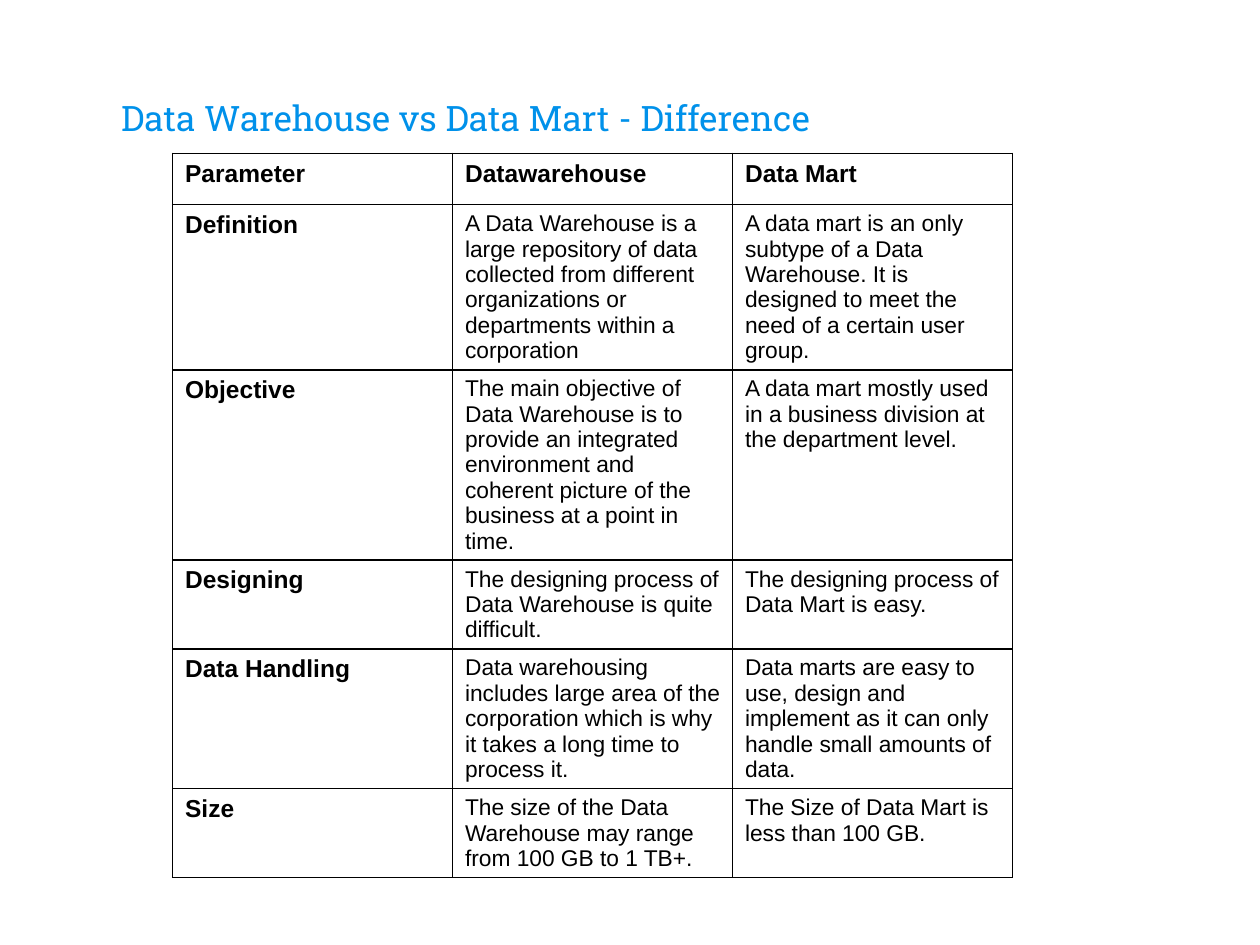
from typing import NamedTuple

from lxml import etree
from pptx import Presentation
from pptx.dml.color import RGBColor
from pptx.enum.text import MSO_ANCHOR, MSO_AUTO_SIZE, PP_ALIGN
from pptx.oxml.ns import qn
from pptx.util import Pt

LEFT = PP_ALIGN.LEFT
TOP, BOTTOM = MSO_ANCHOR.TOP, MSO_ANCHOR.BOTTOM
NO_AUTOFIT = MSO_AUTO_SIZE.NONE

BLUE, BLACK, WHITE = "0091EA", "000000", "FFFFFF"
TITLE_ONLY = 5
COLUMN_WIDTH = 160
BORDER_WIDTH = 1


class Comparison(NamedTuple):
    parameter: str
    warehouse: str
    mart: str
    height: float


HEADINGS = Comparison("Parameter", "Datawarehouse", "Data Mart", 29.3)
COMPARISONS = [
    Comparison(
        "Definition",
        "A Data Warehouse is a large repository of data collected from different "
        "organizations or departments within a corporation",
        "A data mart is an only subtype of a Data Warehouse. It is designed to meet "
        "the need of a certain user group.",
        94.3,
    ),
    Comparison(
        "Objective",
        "The main objective of Data Warehouse is to provide an integrated environment "
        "and coherent picture of the business at a point in time.",
        "A data mart mostly used in a business division at the department level.",
        108.8,
    ),
    Comparison(
        "Designing",
        "The designing process of Data Warehouse is quite difficult.",
        "The designing process of Data Mart is easy.",
        50.8,
    ),
    Comparison(
        "Data Handling",
        "Data warehousing includes large area of the corporation which is why it takes "
        "a long time to process it.",
        "Data marts are easy to use, design and implement as it can only handle small "
        "amounts of data.",
        79.7,
    ),
    Comparison(
        "Size",
        "The size of the Data Warehouse may range from 100 GB to 1 TB+.",
        "The Size of Data Mart is less than 100 GB.",
        50.8,
    ),
]


def rgb(color: str) -> RGBColor:
    return RGBColor.from_string(color)


def format_text(paragraph, font_name: str, size: float, color: str, bold: bool) -> None:
    paragraph.alignment = LEFT
    for run in paragraph.runs:
        run.font.name = font_name
        run.font.size = Pt(size)
        run.font.bold = bold
        run.font.color.rgb = rgb(color)


def add_borders(cell) -> None:
    properties = cell._tc.get_or_add_tcPr()
    for position, side in enumerate(("lnL", "lnR", "lnT", "lnB")):
        line = etree.Element(qn(f"a:{side}"), w=str(Pt(BORDER_WIDTH)))
        fill = etree.SubElement(line, qn("a:solidFill"))
        etree.SubElement(fill, qn("a:srgbClr"), val=BLACK)
        properties.insert(position, line)


def fill_cell(cell, text: str, is_heading: bool) -> None:
    cell.text_frame.text = text
    format_text(cell.text_frame.paragraphs[0], "Arial",
                14 if is_heading else 13, BLACK, is_heading)
    cell.vertical_anchor = TOP
    cell.margin_left = cell.margin_right = Pt(7.2)
    cell.margin_top = cell.margin_bottom = Pt(3.6)
    cell.fill.solid()
    cell.fill.fore_color.rgb = rgb(WHITE)
    add_borders(cell)


def add_title(slide) -> None:
    title = slide.shapes.title
    title.left, title.top, title.width, title.height = Pt(62), Pt(13), Pt(596), Pt(73.4)
    frame = title.text_frame
    frame.text = "Data Warehouse vs Data Mart - Difference"
    frame.auto_size = NO_AUTOFIT
    frame.word_wrap = True
    frame.vertical_anchor = BOTTOM
    frame.margin_left = frame.margin_right = Pt(7.2)
    frame.margin_top = frame.margin_bottom = Pt(7.2)
    format_text(frame.paragraphs[0], "Roboto Slab", 20, BLUE, False)


def add_comparison_table(slide) -> None:
    rows = [HEADINGS, *COMPARISONS]
    table = slide.shapes.add_table(
        len(rows), 3, Pt(98.6), Pt(87.7),
        Pt(3 * COLUMN_WIDTH), Pt(sum(row.height for row in rows)),
    ).table
    for column in table.columns:
        column.width = Pt(COLUMN_WIDTH)
    for row_index, row in enumerate(rows):
        table.rows[row_index].height = Pt(row.height)
        for column_index, text in enumerate(row[:3]):
            is_heading = row_index == 0 or column_index == 0
            fill_cell(table.cell(row_index, column_index), text, is_heading)


def main() -> None:
    presentation = Presentation()
    presentation.slide_width, presentation.slide_height = Pt(720), Pt(540)
    slide = presentation.slides.add_slide(presentation.slide_layouts[TITLE_ONLY])
    add_title(slide)
    add_comparison_table(slide)
    presentation.save("out.pptx")


if __name__ == "__main__":
    main()
